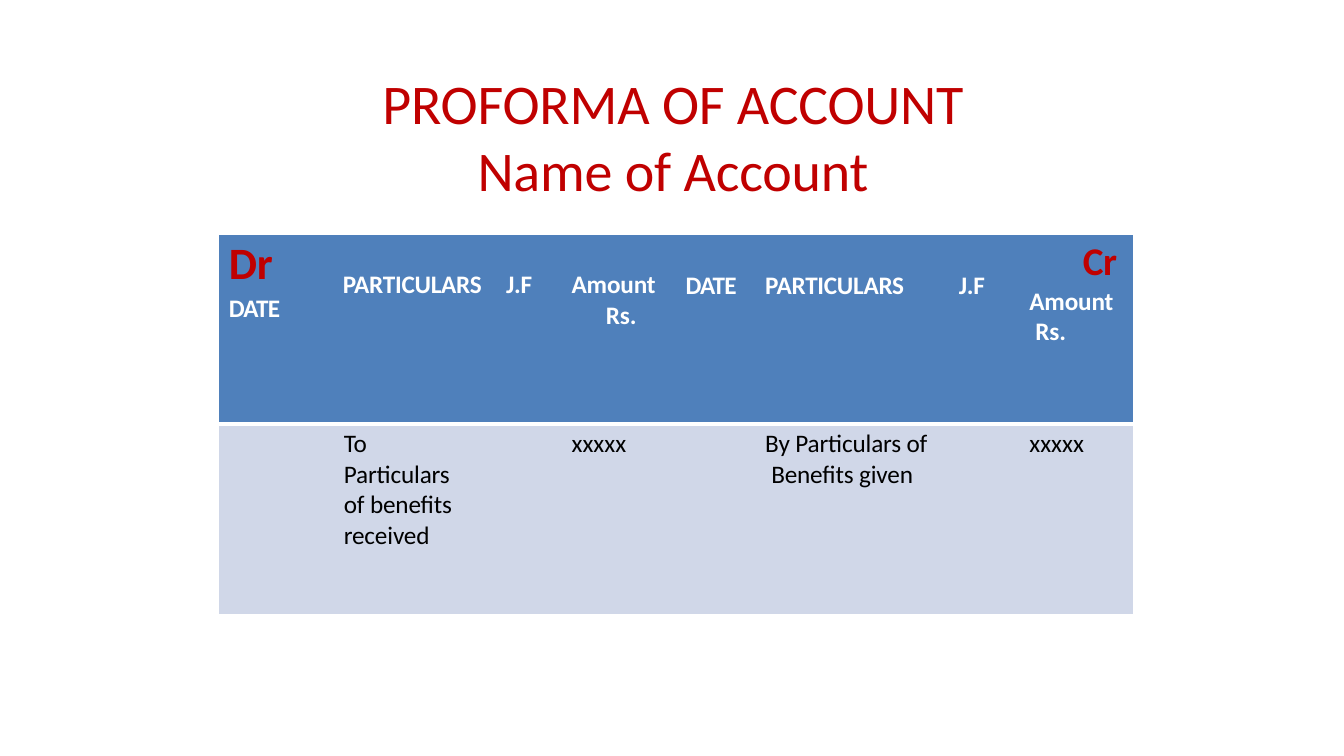
from lxml import etree
from pptx import Presentation
from pptx.dml.color import RGBColor
from pptx.enum.text import MSO_ANCHOR, MSO_AUTO_SIZE, PP_ALIGN
from pptx.oxml.ns import qn
from pptx.util import Inches, Pt

CENTER, LEFT = PP_ALIGN.CENTER, PP_ALIGN.LEFT
MIDDLE, TOP = MSO_ANCHOR.MIDDLE, MSO_ANCHOR.TOP
GROW = MSO_AUTO_SIZE.SHAPE_TO_FIT_TEXT
TITLE_ONLY = 5
PLAIN_STYLE = "{2D5ABB26-0587-4C30-8999-92F81FD0307C}"
COLORS = {"red": "C00000", "white": "FFFFFF", "black": "000000",
          "header": "4F80BB", "body": "D0D7E8"}
COLUMNS = [0.93, 1.81, 0.56, 1.19, 0.8, 1.91, 0.62, 1.25]
ROW_HEIGHT = 1.88

HEADERS = [
    (0.02, [("Dr", {"left": 0.1, "size": 32, "color": "red", "before": 1.5}),
            ("DATE", {"left": 0.1, "before": 1.1, "spacing": -0.5})]),
    (0.34, [("PARTICULARS", {"left": 0.3, "spacing": -0.2})]),
    (0.34, [("J.F", {"left": 0.11})]),
    (0.34, [("Amount\nRs.", {"left": 0.54, "first": -0.34, "line": 1.01})]),
    (0.35, [("DATE", {"left": 0.14, "spacing": -0.5})]),
    (0.35, [("PARTICULARS", {"left": 0.13, "spacing": -0.2})]),
    (0.35, [("J.F", {"left": 0.14})]),
    (0.03, [("Cr", {"left": 0.75, "size": 28, "color": "red",
                    "before": 2.1, "spacing": -0.3}),
            ("Amount\nRs.", {"left": 0.28, "first": -0.06,
                             "line": Pt(21.2), "before": 1.6})]),
]
ENTRIES = [
    ("To\nParticulars\nof benefits\nreceived", {"left": 1.24}),
    ("xxxxx", {"left": 0.76, "spacing": 0}),
    ("By Particulars of\nBenefits given", {"left": 0.99, "first": -0.06}),
    ("xxxxx", {"left": 0.84, "spacing": 0}),
]


def write(para, text, size=18, color="white", bold=False, align=LEFT,
          left=0, first=0, before=0, line=None, spacing=-0.1):
    """Write text, one run per line, into a paragraph."""
    para.alignment = align
    para.space_before = Pt(before)
    para.line_spacing = line
    properties = para._p.get_or_add_pPr()
    properties.set("marL", str(Inches(left)))
    properties.set("indent", str(Inches(first)))
    for index, part in enumerate(text.split("\n")):
        if index:
            para.add_line_break()
        span = para.add_run()
        span.text = part
        span.font.name = "Calibri"
        span.font.size = Pt(size)
        span.font.bold = bold
        span.font.color.rgb = RGBColor.from_string(COLORS[color])
        span._r.get_or_add_rPr().set("spc", str(round(spacing * 100)))


class AccountSlide:
    """Hold the deck and its current page, and draw elements on it."""

    def __init__(self):
        """Start a deck with one title page."""
        self.deck = Presentation()
        self.deck.slide_width = Inches(13.33)
        self.deck.slide_height = Inches(7.5)
        self.page = self.deck.slides.add_slide(
            self.deck.slide_layouts[TITLE_ONLY])

    def title(self, lines):
        """Fill the title placeholder with centred lines."""
        box = self.page.shapes.title
        box.left, box.top = Inches(0.92), Inches(0.23)
        box.width, box.height = Inches(11.5), Inches(1.79)
        frame = box.text_frame
        frame.word_wrap = True
        frame.auto_size = GROW
        frame.vertical_anchor = MIDDLE
        frame.margin_left = frame.margin_right = frame.margin_bottom = 0
        frame.margin_top = Inches(0.44)
        for index, text in enumerate(lines):
            para = frame.add_paragraph() if index else frame.paragraphs[0]
            write(para, text, size=40, color="red", align=CENTER, left=0.01)

    def cell(self, cell, fill, edge, top=0, items=(), **style):
        """Fill a cell with paragraphs and rule one edge in white."""
        cell.fill.solid()
        cell.fill.fore_color.rgb = RGBColor.from_string(COLORS[fill])
        cell.margin_left = cell.margin_right = cell.margin_bottom = 0
        cell.margin_top = Inches(top)
        cell.vertical_anchor = TOP
        rule = etree.Element(qn(f"a:{edge}"), w=str(Pt(3)))
        paint = etree.SubElement(rule, qn("a:solidFill"))
        etree.SubElement(paint, qn("a:srgbClr"), val=COLORS["white"])
        cell._tc.get_or_add_tcPr().insert(0, rule)
        frame = cell.text_frame
        for index, (text, own) in enumerate(items):
            para = frame.add_paragraph() if index else frame.paragraphs[0]
            write(para, text, **{**style, **own})

    def account_table(self):
        """Add the ledger with a header row and paired entry cells."""
        table = self.page.shapes.add_table(
            2, len(COLUMNS), Inches(2.17), Inches(2.33),
            Inches(sum(COLUMNS)), Inches(2 * ROW_HEIGHT)).table
        table._tbl.tblPr.find(qn("a:tableStyleId")).text = PLAIN_STYLE
        for column, width in zip(table.columns, COLUMNS):
            column.width = Inches(width)
        for row in table.rows:
            row.height = Inches(ROW_HEIGHT)
        for index, (top, items) in enumerate(HEADERS):
            self.cell(table.cell(0, index), "header", "lnB", top, items,
                      bold=True)
            self.cell(table.cell(1, index), "body", "lnT")
        for index, entry in enumerate(ENTRIES):
            start = table.cell(1, 2 * index)
            start.merge(table.cell(1, 2 * index + 1))
            start.margin_top = Inches(0.04)
            text, style = entry
            write(start.text_frame.paragraphs[0], text, color="black",
                  before=2.5, **style)


def main():
    """Build the slide and save it."""
    slide = AccountSlide()
    slide.title(["PROFORMA OF ACCOUNT", "Name of Account"])
    slide.account_table()
    slide.deck.save("out.pptx")


if __name__ == "__main__":
    main()
